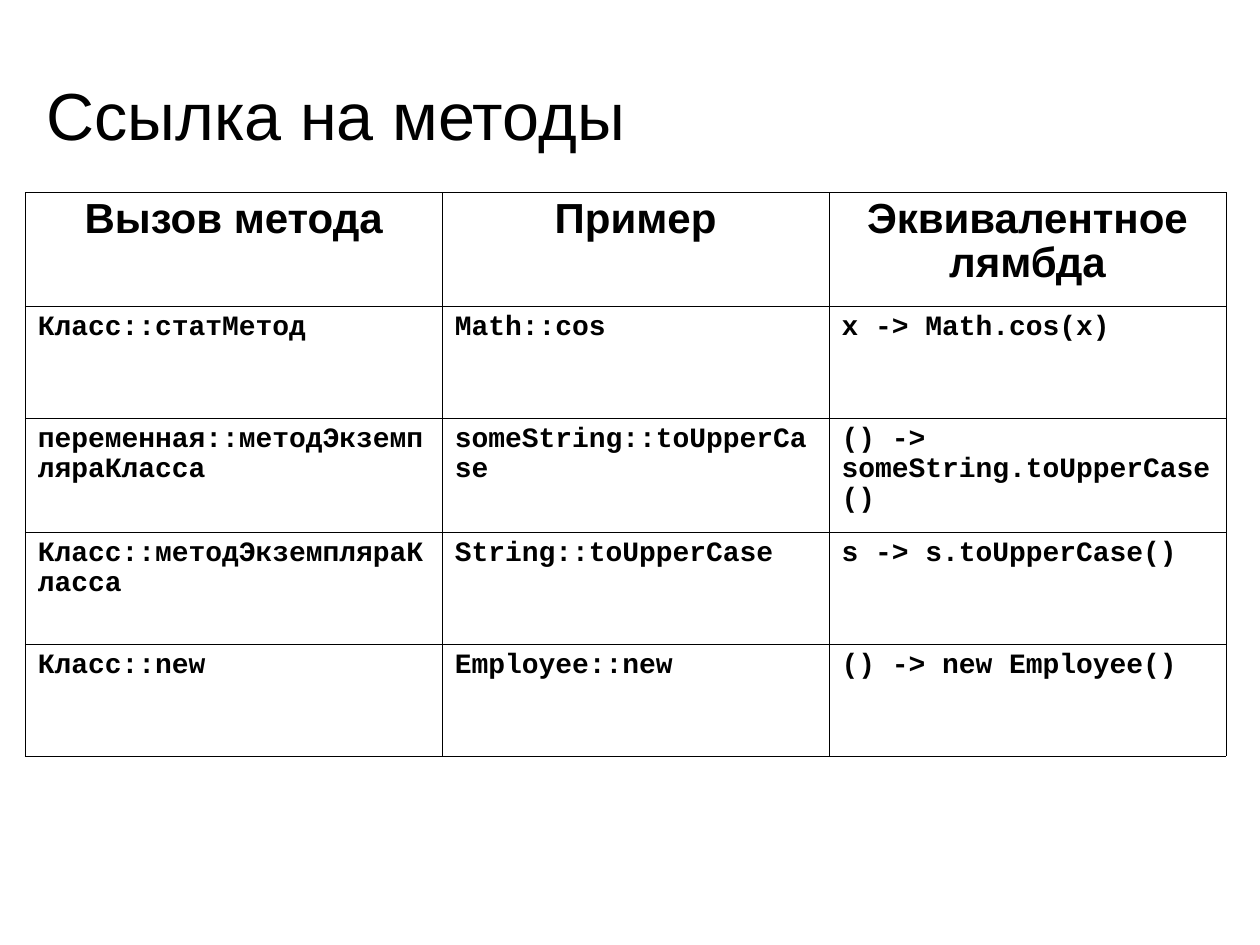
from lxml import etree
from pptx import Presentation
from pptx.dml.color import RGBColor
from pptx.enum.text import MSO_ANCHOR, PP_ALIGN
from pptx.oxml.ns import qn
from pptx.util import Inches, Pt

MIDDLE = MSO_ANCHOR.MIDDLE
CENTER, LEFT = PP_ALIGN.CENTER, PP_ALIGN.LEFT
BLACK = "000000"
OUTER, INNER = 0.5, 0.23

TITLE_BOX = (0.27, 0.28, 9.53, 1.25)
TABLE_BOX = (0.2, 1.53, 9.53, 4.47)
COLUMN_WIDTHS = (3.31, 3.07, 3.15)
ROW_HEIGHTS = (0.9, 0.89, 0.9, 0.89, 0.89)
METHOD_REFERENCES = (
    ("Вызов метода", "Пример", "Эквивалентное лямбда"),
    ("Класс::статМетод", "Math::cos", "x -> Math.cos(x)"),
    ("переменная::методЭкземпляраКласса", "someString::toUpperCase",
     "() -> someString.toUpperCase()"),
    ("Класс::методЭкземпляраКласса", "String::toUpperCase", "s -> s.toUpperCase()"),
    ("Класс::new", "Employee::new", "() -> new Employee()"),
)


def color(value):
    """Turn a hex string into a colour."""
    return RGBColor.from_string(value)


def style_font(font, name, size, bold=False):
    """Set typeface, size, weight and black colour."""
    font.name, font.size, font.bold = name, Pt(size), bold
    font.color.rgb = color(BLACK)


def add_title(slide, box, wording):
    """Place the heading in its box, centred vertically."""
    frame = slide.shapes.add_textbox(*map(Inches, box)).text_frame
    frame.word_wrap = True
    frame.vertical_anchor = MIDDLE
    heading = frame.paragraphs[0]
    heading.text = wording
    style_font(heading.font, "Arial", 38)


def draw_borders(cell, edges):
    """Draw black lines on the cell's sides, given (side, is_outer) pairs."""
    properties = cell._tc.get_or_add_tcPr()
    for side, is_outer in edges:
        width = Pt(OUTER if is_outer else INNER)
        line = etree.SubElement(properties, qn(f"a:ln{side}"), w=str(width))
        fill = etree.SubElement(line, qn("a:solidFill"))
        etree.SubElement(fill, qn("a:srgbClr"), val=BLACK)


def fill_cell(cell, wording, is_header):
    """Write a cell as a heading or as a line of code."""
    cell.fill.background()
    cell.margin_left = cell.margin_right = Inches(0.1)
    cell.margin_top = cell.margin_bottom = Inches(0.05)
    entry = cell.text_frame.paragraphs[0]
    entry.text = wording
    entry.alignment = CENTER if is_header else LEFT
    entry.line_spacing = 0.93 if is_header else 0.94
    entry.space_before = Pt(6 if is_header else 4)
    name, size = ("Arial", 24) if is_header else ("Courier New", 16)
    style_font(entry.font, name, size, bold=True)


def add_reference_table(slide, box, rows):
    """Place the bordered table of method references in its box."""
    last_row, last_column = len(rows) - 1, len(rows[0]) - 1
    table = slide.shapes.add_table(last_row + 1, last_column + 1, *map(Inches, box)).table
    table.first_row = table.horz_banding = False
    for column, width in zip(table.columns, COLUMN_WIDTHS):
        column.width = Inches(width)
    for row, height in zip(table.rows, ROW_HEIGHTS):
        row.height = Inches(height)
    for r, entries in enumerate(rows):
        for c, wording in enumerate(entries):
            cell = table.cell(r, c)
            draw_borders(cell, (("L", c == 0), ("R", c == last_column),
                                ("T", r == 0), ("B", r == last_row)))
            fill_cell(cell, wording, r == 0)


def main():
    """Build and save the slide."""
    deck = Presentation()
    deck.slide_width, deck.slide_height = Inches(10), Inches(7.5)
    slide = deck.slides.add_slide(deck.slide_layouts[6])
    add_title(slide, TITLE_BOX, "Ссылка на методы")
    add_reference_table(slide, TABLE_BOX, METHOD_REFERENCES)
    deck.save("out.pptx")


if __name__ == "__main__":
    main()
